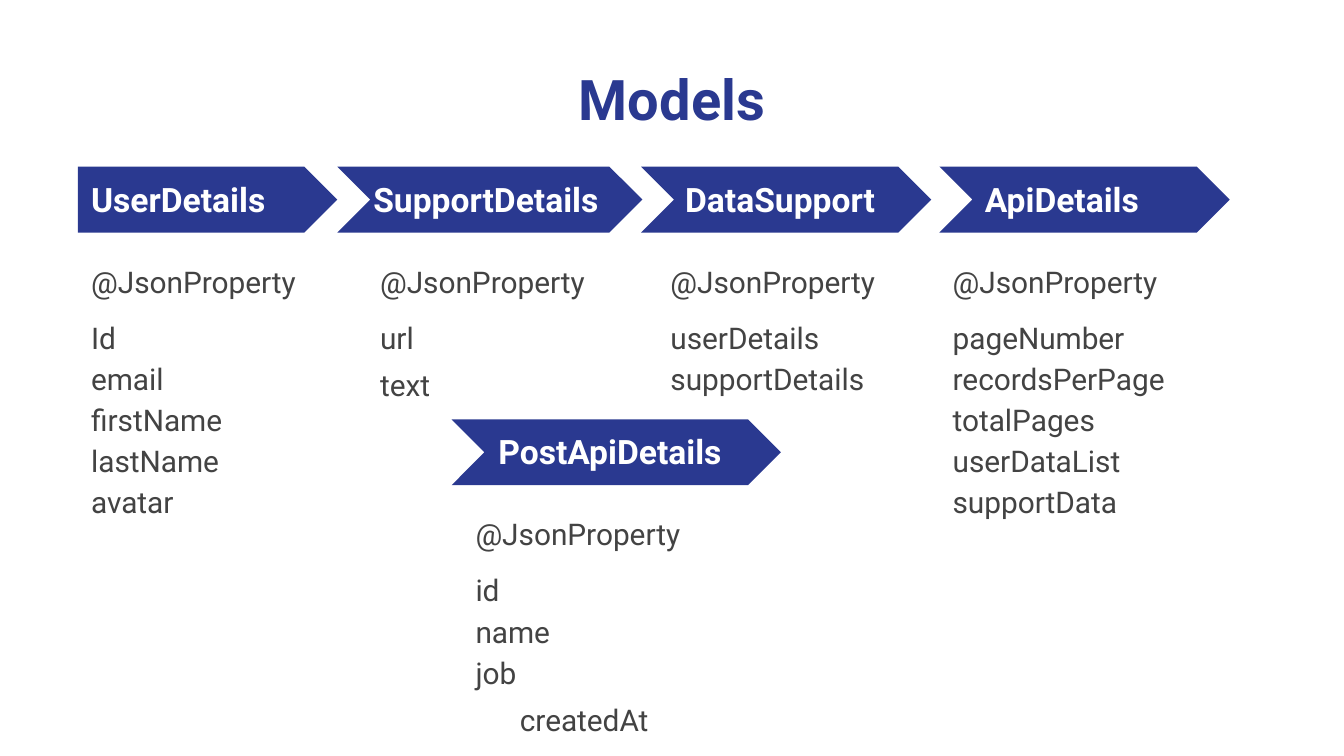
"""Build the Models slide: API model classes and their JSON properties."""
from dataclasses import dataclass

from lxml import etree
from pptx import Presentation
from pptx.dml.color import RGBColor
from pptx.enum.shapes import MSO_SHAPE
from pptx.enum.text import MSO_ANCHOR, PP_ALIGN
from pptx.util import Inches, Pt

PENTAGON = MSO_SHAPE.PENTAGON
CHEVRON = MSO_SHAPE.CHEVRON
LEFT = PP_ALIGN.LEFT
CENTER = PP_ALIGN.CENTER
TOP = MSO_ANCHOR.TOP
MIDDLE = MSO_ANCHOR.MIDDLE

NAVY = RGBColor(0x2A, 0x39, 0x90)
WHITE = RGBColor(0xFF, 0xFF, 0xFF)
GRAY = RGBColor(0x43, 0x43, 0x43)
FONT = "Roboto"

SLIDE_WIDTH = Inches(10)
SLIDE_HEIGHT = SLIDE_WIDTH * 9 // 16
BANNER_HEIGHT = 0.49
NAME_OFFSET = 0.07
NAME_HEIGHT = 0.34
FIELDS_OFFSET = 0.58
FIELDS_HEIGHT = 1.49
MARGIN = Inches(0.1)


@dataclass(frozen=True)
class Model:
    name: str
    fields: tuple[str, ...]
    banner_left: float
    banner_width: float
    name_left: float
    name_width: float
    fields_left: float
    fields_width: float = 1.93
    top: float = 1.24
    banner_shape: MSO_SHAPE = CHEVRON
    last_gap: float = 0
    last_indent: float = 0


MODELS = (
    Model("UserDetails", ("Id", "email", "firstName", "lastName", "avatar"),
          0.58, 1.93, 0.58, 1.76, 0.58, banner_shape=PENTAGON),
    Model("SupportDetails", ("url", "text"),
          2.51, 2.27, 2.68, 1.93, 2.73, last_gap=3),
    Model("DataSupport", ("userDetails", "supportDetails"),
          4.77, 2.16, 5, 1.76, 4.89),
    Model("ApiDetails",
          ("pageNumber", "recordsPerPage", "totalPages", "userDataList", "supportData"),
          6.99, 2.16, 7.23, 1.76, 6.99, 2.16),
    Model("PostApiDetails", ("id", "name", "job", "createdAt"),
          3.36, 2.45, 3.61, 2.03, 3.44, top=3.12, last_gap=3, last_indent=0.33),
)


def add_text(slide, lines: tuple[str, ...], left: float, top: float, width: float,
             height: float, size: float, color: RGBColor, bold: bool = False,
             align: PP_ALIGN = LEFT, anchor: MSO_ANCHOR = TOP):
    box = slide.shapes.add_textbox(Inches(left), Inches(top), Inches(width), Inches(height))
    frame = box.text_frame
    frame.word_wrap = True
    frame.vertical_anchor = anchor
    frame.margin_left = frame.margin_right = MARGIN
    frame.margin_top = frame.margin_bottom = MARGIN
    frame.text = "\n".join(lines)
    for paragraph in frame.paragraphs:
        paragraph.alignment = align
        for run in paragraph.runs:
            run.font.name = FONT
            run.font.size = Pt(size)
            run.font.bold = bold
            run.font.color.rgb = color
    return frame


def indent(paragraph_xml: etree.ElementBase, inches: float) -> None:
    paragraph_xml.get_or_add_pPr().set("marL", str(Inches(inches)))


def add_banner(slide, model: Model) -> None:
    banner = slide.shapes.add_shape(
        model.banner_shape, Inches(model.banner_left), Inches(model.top),
        Inches(model.banner_width), Inches(BANNER_HEIGHT))
    banner.shadow.inherit = False
    banner.fill.solid()
    banner.fill.fore_color.rgb = NAVY
    banner.line.fill.background()
    add_text(slide, (model.name,), model.name_left, model.top + NAME_OFFSET,
             model.name_width, NAME_HEIGHT, 18, WHITE, bold=True, anchor=MIDDLE)


def add_fields(slide, model: Model) -> None:
    frame = add_text(slide, ("@JsonProperty", *model.fields), model.fields_left,
                     model.top + FIELDS_OFFSET, model.fields_width, FIELDS_HEIGHT, 16, GRAY)
    _, first, *_, last = frame.paragraphs
    for paragraph in frame.paragraphs:
        paragraph.line_spacing = 1.15
    first.space_before = Pt(8)
    if model.last_gap:
        last.space_before = Pt(model.last_gap)
    if model.last_indent:
        indent(last._p, model.last_indent)


def main() -> None:
    presentation = Presentation()
    presentation.slide_width = SLIDE_WIDTH
    presentation.slide_height = SLIDE_HEIGHT
    slide = presentation.slides.add_slide(presentation.slide_layouts[6])
    add_text(slide, ("Models",), 0.34, 0.38, 9.32, 0.63, 30, NAVY, bold=True, align=CENTER)
    for model in MODELS:
        add_banner(slide, model)
        add_fields(slide, model)
    presentation.save("out.pptx")


if __name__ == "__main__":
    main()
